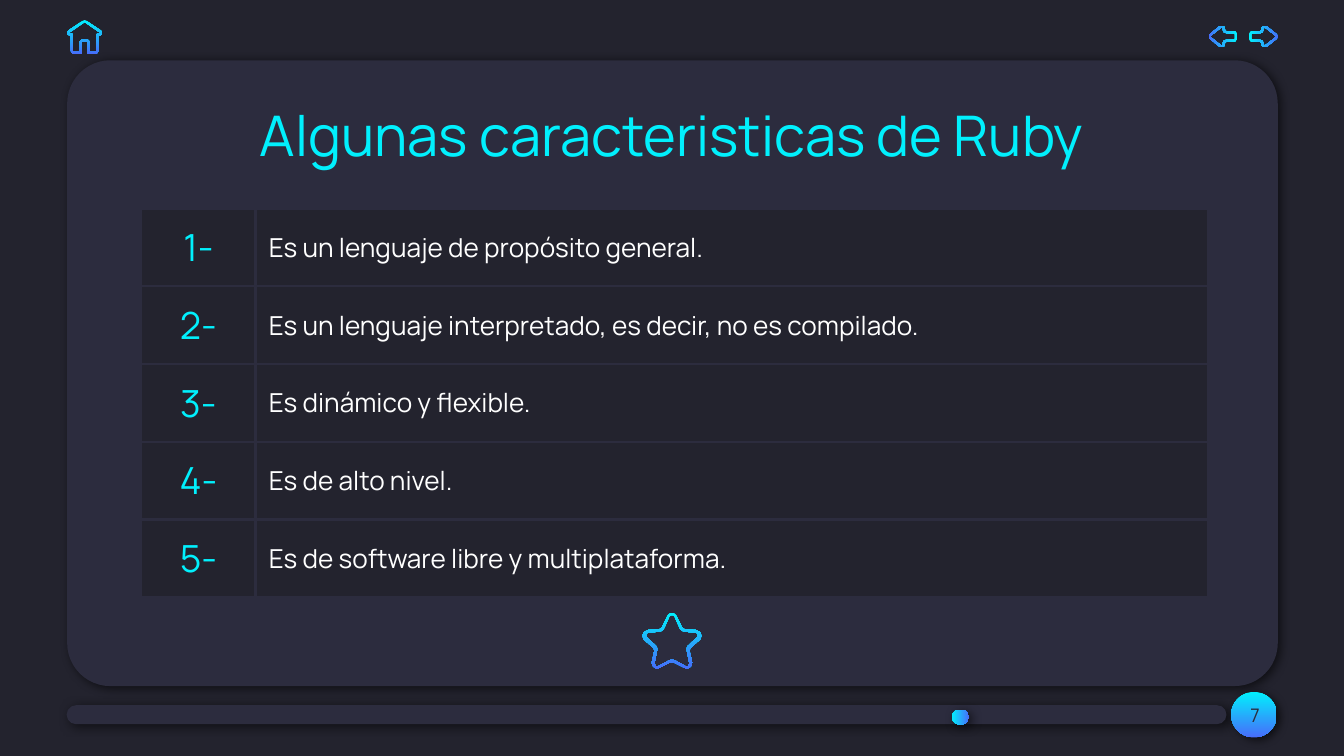
"""Build a dark slide listing five features of the Ruby language."""
from dataclasses import dataclass

from lxml.etree import SubElement
from pptx import Presentation
from pptx.dml.color import RGBColor as Color
from pptx.enum.shapes import MSO_SHAPE as Preset
from pptx.enum.text import MSO_ANCHOR as Anchor, PP_ALIGN as Align
from pptx.oxml.ns import qn
from pptx.util import Cm, Pt


@dataclass(frozen=True)
class Theme:
    font: str = "Manrope"
    background: str = "23232E"
    panel: str = "2C2C3E"
    accent: str = "01F0FD"
    accent_end: str = "476DFA"
    text: str = "FFFFFF"
    shadow: str = "000000"
    title_size: int = 30
    number_size: int = 20
    body_size: int = 14
    page_size: int = 10
    border: float = 1.5


THEME = Theme()
TITLE = "Algunas caracteristicas de Ruby"
PAGE = "7"
FEATURES = [
    "Es un lenguaje de propósito general.",
    "Es un lenguaje interpretado, es decir, no es compilado.",
    "Es dinámico y flexible.",
    "Es de alto nivel.",
    "Es de software libre y multiplataforma.",
]
COLUMNS = (2.16, 18.01)
ROW_HEIGHT = 1.47

HOUSE = (
    [(0, 0), (3, 1), (31, 20), (33, 24), (32, 27), (29, 29), (26, 30), (26, 58),
     (24, 62), (21, 64), (5, 64), (5, 41)],
    [(0, 4), (28, 23), (28, 25), (25, 25), (22, 27), (22, 59), (20, 60), (9, 60),
     (9, 40), (6, 37)],
)
ARROW = (
    [(6, 0), (9, 2), (10, 6), (10, 20), (11, 22), (13, 23), (16, 23), (19, 25),
     (20, 28), (20, 31), (18, 35), (4, 52), (0, 54)],
    [(4, 4), (6, 6), (6, 20), (8, 25), (12, 27), (15, 27), (17, 29), (16, 31),
     (2, 49), (0, 50)],
)
STAR = (
    [(0, 0), (4, 1), (8, 5), (19, 28), (23, 31), (46, 33), (53, 37), (56, 44),
     (53, 51), (36, 66), (33, 71), (38, 94), (37, 100), (33, 104), (28, 106),
     (23, 104), (3, 94), (0, 94)],
    [(0, 5), (3, 6), (5, 8), (15, 30), (18, 34), (23, 36), (46, 38), (49, 41),
     (48, 46), (30, 63), (28, 67), (28, 71), (33, 96), (31, 101), (28, 102),
     (25, 101), (5, 90), (0, 89)],
)
ICONS = [
    (ARROW, 23.88, 0.42, 270),
    (ARROW, 23.11, 0.42, 90),
    (HOUSE, 1.6, 0.38, 0),
    (STAR, 12.7, 11.58, 0),
]


def rgb(value):
    return Color.from_string(value)


def paint(shape, color=None):
    if color:
        shape.fill.solid()
        shape.fill.fore_color.rgb = rgb(color)
    else:
        shape.fill.gradient()
        shape.fill.gradient_angle = 270
        for stop, value in zip(shape.fill.gradient_stops, (THEME.accent, THEME.accent_end)):
            stop.color.rgb = rgb(value)
    shape.line.fill.background()
    shape.shadow.inherit = False


def add_shadowed(slide, preset, box, color=None, blur=5.6):
    shape = slide.shapes.add_shape(preset, *map(Cm, box))
    paint(shape, color)
    effects = shape._element.spPr.find(qn("a:effectLst"))
    shadow = SubElement(effects, qn("a:outerShdw"), blurRad=str(Pt(blur)), dist=str(Pt(2.2)),
                        dir=str(33 * 60000), algn="bl", rotWithShape="0")
    value = SubElement(shadow, qn("a:srgbClr"), val=THEME.shadow)
    SubElement(value, qn("a:alpha"), val="60000")
    return shape


def write(frame, text, size, color, align=Align.CENTER):
    frame.word_wrap = True
    paragraph = frame.paragraphs[0]
    paragraph.text = text
    paragraph.alignment = align
    paragraph.font.name = THEME.font
    paragraph.font.size = Pt(size)
    paragraph.font.color.rgb = rgb(color)


def set_margins(target):
    target.margin_left = target.margin_right = Cm(0.25)
    target.margin_top = target.margin_bottom = Cm(0.25)


def add_label(slide, box, text, size, color, anchor):
    frame = slide.shapes.add_textbox(*map(Cm, box)).text_frame
    set_margins(frame)
    frame.vertical_anchor = anchor
    write(frame, text, size, color)


def add_icon(slide, halves, axis, top, rotation):
    outer, inner = [half + [(-x, y) for x, y in reversed(half)] for half in halves]
    builder = slide.shapes.build_freeform(*outer[0], scale=Cm(0.01))
    builder.add_line_segments(outer[1:], close=True)
    builder.move_to(*inner[0])
    builder.add_line_segments(inner[1:], close=True)
    shape = builder.convert_to_shape(Cm(axis), Cm(top))
    shape.rotation = rotation
    paint(shape)


def style_cell(cell, *content):
    set_margins(cell)
    cell.vertical_anchor = Anchor.MIDDLE
    properties = cell._tc.get_or_add_tcPr()
    for side in ("lnL", "lnR", "lnT", "lnB"):
        line = SubElement(properties, qn(f"a:{side}"), w=str(Pt(THEME.border)))
        fill = SubElement(line, qn("a:solidFill"))
        SubElement(fill, qn("a:srgbClr"), val=THEME.panel)
    cell.fill.solid()
    cell.fill.fore_color.rgb = rgb(THEME.background)
    write(cell.text_frame, *content)


def add_features(slide):
    count = len(FEATURES)
    table = slide.shapes.add_table(count, 2, Cm(2.67), Cm(3.94), Cm(sum(COLUMNS)),
                                   Cm(count * ROW_HEIGHT)).table
    table.first_row = table.horz_banding = False
    for column, width in zip(table.columns, COLUMNS):
        column.width = Cm(width)
    for index, feature in enumerate(FEATURES):
        table.rows[index].height = Cm(ROW_HEIGHT)
        style_cell(table.cell(index, 0), f"{index + 1}-", THEME.number_size, THEME.accent)
        style_cell(table.cell(index, 1), feature, THEME.body_size, THEME.text, Align.LEFT)


def main():
    presentation = Presentation()
    presentation.slide_width, presentation.slide_height = Cm(25.4), Cm(14.29)
    slide = presentation.slides.add_slide(presentation.slide_layouts[6])
    slide.background.fill.solid()
    slide.background.fill.fore_color.rgb = rgb(THEME.background)

    panel = add_shadowed(slide, Preset.ROUNDED_RECTANGLE, (1.27, 1.14, 22.88, 11.83), THEME.panel)
    panel.adjustments[0] = 0.069
    track = add_shadowed(slide, Preset.ROUNDED_RECTANGLE, (1.26, 13.33, 21.92, 0.36), THEME.panel)
    track.adjustments[0] = 0.5
    add_shadowed(slide, Preset.OVAL, (23.27, 13.08, 0.86, 0.86), blur=4.5)
    add_label(slide, (22.96, 12.98, 1.52, 1.09), PAGE, THEME.page_size, THEME.panel, Anchor.MIDDLE)
    add_label(slide, (2.21, 1.65, 20.98, 1.6), TITLE, THEME.title_size, THEME.accent, Anchor.TOP)
    add_features(slide)
    knob = add_shadowed(slide, Preset.ROUNDED_RECTANGLE, (18.01, 13.39, 0.28, 0.33))
    knob.adjustments[0] = 0.5
    knob.rotation = 270
    for icon in ICONS:
        add_icon(slide, *icon)
    presentation.save("out.pptx")


if __name__ == "__main__":
    main()
